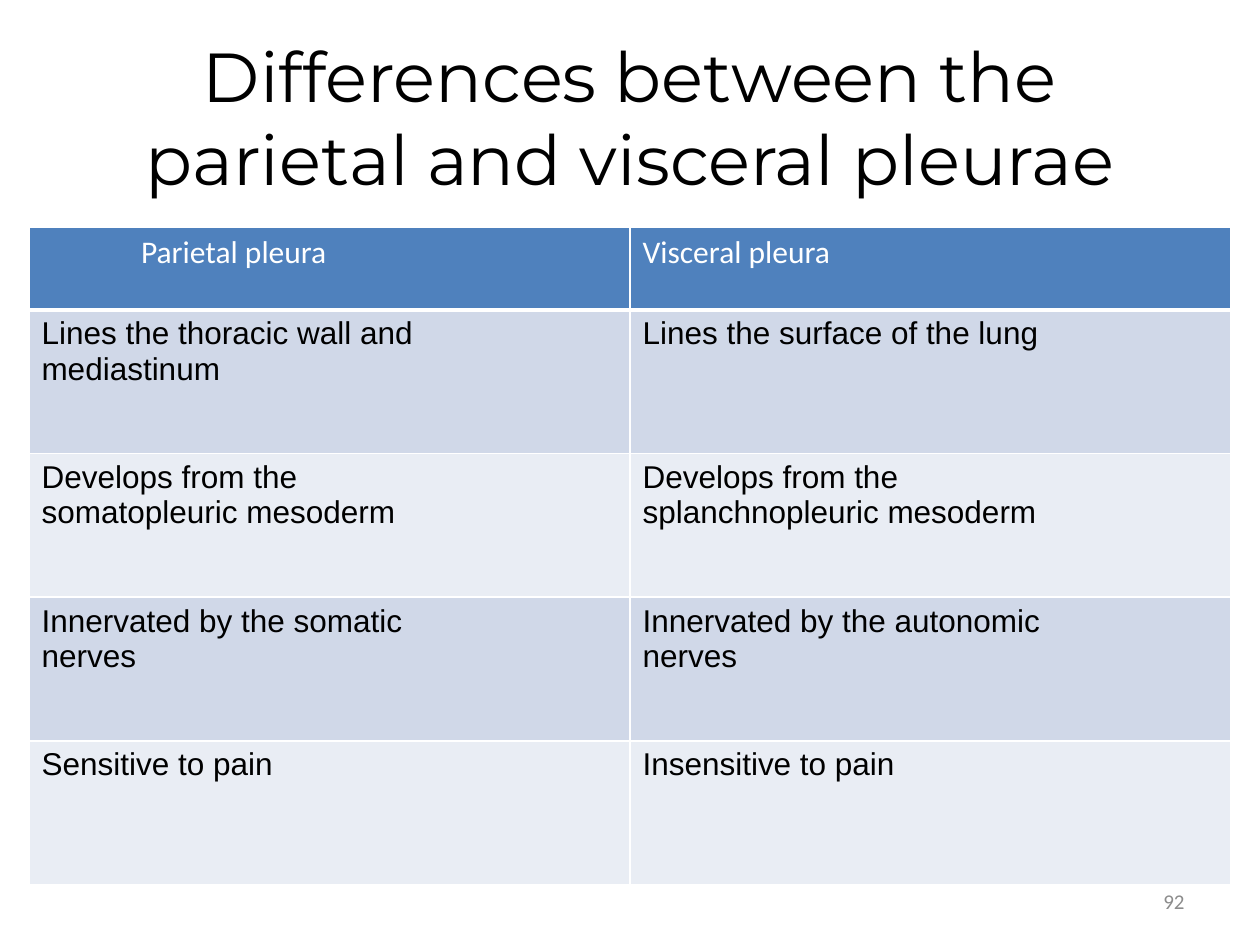
from lxml.etree import SubElement
from pptx import Presentation
from pptx.dml.color import RGBColor as RGB
from pptx.enum.text import MSO_ANCHOR as Anchor, PP_ALIGN as Align
from pptx.oxml.ns import qn
from pptx.util import Inches, Pt

TITLE = "Differences between the parietal and visceral pleurae"
PAGE = "92"
ROWS = [
    ("Parietal pleura", "Visceral pleura"),
    ("Lines the thoracic wall and\nmediastinum", "Lines the surface of the lung"),
    ("Develops from the\nsomatopleuric mesoderm", "Develops from the\nsplanchnopleuric mesoderm"),
    ("Innervated by the somatic\nnerves", "Innervated by the autonomic\nnerves"),
    ("Sensitive to pain", "Insensitive to pain"),
]
COLORS = {"head": "4F81BD", "odd": "D0D8E8", "even": "E9EDF4",
          "white": "FFFFFF", "black": "000000", "gray": "8C8C8C"}
FONTS = {
    "title": {"name": "Montserrat", "size": Pt(39.6), "color": "black"},
    "head": {"name": "Calibri", "size": Pt(18), "bold": False, "color": "white"},
    "body": {"name": "Arial", "size": Pt(18), "bold": False, "color": "black"},
    "page": {"name": "Calibri", "size": Pt(12), "color": "gray"},
}
LEFT, TOP, COL_W = 0.23, 1.8, 4.77
HEAD_H, BODY_H = 0.66, 1.14
HEAD_INDENT = 0.89


def write(frame, text, kind, align, anchor):
    frame.text = text
    frame.word_wrap = True
    frame.vertical_anchor = anchor
    for para in frame.paragraphs:
        para.alignment = align
        for key, value in FONTS[kind].items():
            if key == "color":
                para.font.color.rgb = RGB.from_string(COLORS[value])
            else:
                setattr(para.font, key, value)


def edge(cell, widths):
    """Draw white cell borders; widths maps a side to points."""
    props = cell._tc.get_or_add_tcPr()
    for side, width in widths.items():
        line = SubElement(props, qn(f"a:ln{side}"), w=str(Pt(width)))
        fill = SubElement(line, qn("a:solidFill"))
        SubElement(fill, qn("a:srgbClr"), val=COLORS["white"])


def add_grid(slide):
    heights = [HEAD_H] + [BODY_H] * (len(ROWS) - 1)
    table = slide.shapes.add_table(
        len(ROWS), 2, Inches(LEFT), Inches(TOP),
        Inches(2 * COL_W), Inches(sum(heights))).table
    for col in table.columns:
        col.width = Inches(COL_W)
    for r, (row, height) in enumerate(zip(ROWS, heights)):
        table.rows[r].height = Inches(height)
        fill = "head" if r == 0 else "odd" if r % 2 else "even"
        for c, text in enumerate(row):
            cell = table.cell(r, c)
            write(cell.text_frame, text, "body" if r else "head", Align.LEFT, None)
            edge(cell, {"L": 1, "R": 1, "T": 3 if r == 1 else 1, "B": 1 if r else 3})
            cell.fill.solid()
            cell.fill.fore_color.rgb = RGB.from_string(COLORS[fill])
    table.cell(0, 0).margin_left = Inches(HEAD_INDENT)


def main():
    deck = Presentation()
    deck.slide_width, deck.slide_height = Inches(10), Inches(7.5)
    slide = deck.slides.add_slide(deck.slide_layouts[5])
    title = slide.shapes.title
    title.left, title.top, title.width, title.height = map(Inches, (0.5, 0.3, 9, 1.25))
    write(title.text_frame, TITLE, "title", Align.CENTER, Anchor.MIDDLE)
    add_grid(slide)
    page = slide.shapes.add_textbox(*map(Inches, (7.17, 6.95, 2.33, 0.4)))
    write(page.text_frame, PAGE, "page", Align.RIGHT, Anchor.MIDDLE)
    deck.save("out.pptx")


if __name__ == "__main__":
    main()
